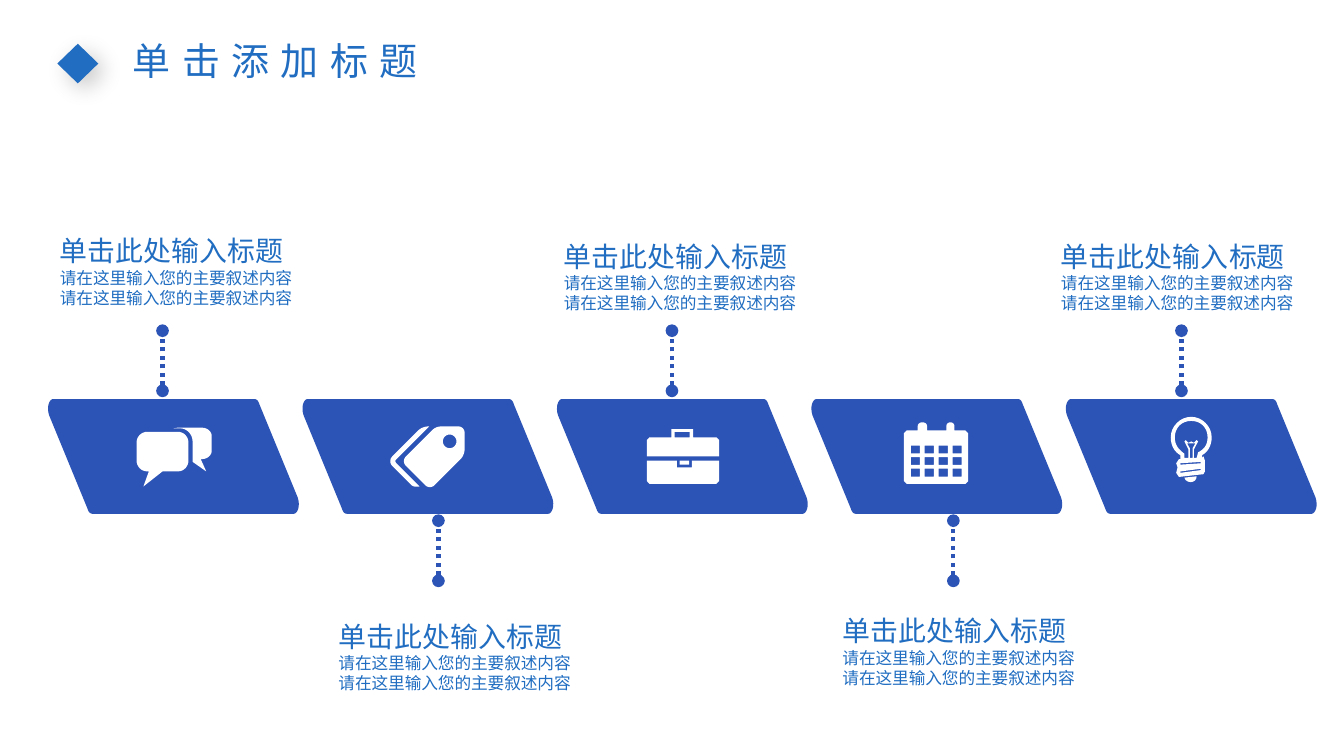
from dataclasses import dataclass
from math import cos, pi, sin

from lxml import etree
from pptx import Presentation
from pptx.dml.color import RGBColor
from pptx.enum.dml import MSO_LINE
from pptx.enum.shapes import MSO_CONNECTOR, MSO_SHAPE
from pptx.enum.text import MSO_ANCHOR, MSO_AUTO_SIZE, PP_ALIGN
from pptx.oxml.ns import qn
from pptx.util import Emu, Inches, Pt

DOTS = MSO_LINE.ROUND_DOT
STRAIGHT = MSO_CONNECTOR.STRAIGHT
DIAMOND = MSO_SHAPE.DIAMOND
TOP, MIDDLE = MSO_ANCHOR.TOP, MSO_ANCHOR.MIDDLE
LEFT, CENTER = PP_ALIGN.LEFT, PP_ALIGN.CENTER
FIXED = MSO_AUTO_SIZE.NONE

# The slide is a grid of 984 columns by 551 rows of square cells
COLS, ROWS = 984, 551
CELL = Inches(0.01)
TILE_X, TILE_Y, PITCH = 34, 292, 186.3
TILE_W, TILE_H = 186, 84

Path = list[tuple[float, ...]]


@dataclass(frozen=True)
class Theme:
    font: str = "Noto Sans CJK SC"
    ink: RGBColor = RGBColor(0x20, 0x6D, 0xC1)
    tile: RGBColor = RGBColor(0x2C, 0x53, 0xB6)
    icon: RGBColor = RGBColor(0xFF, 0xFF, 0xFF)
    title: float = 20
    head: float = 14.7
    body: float = 8.8
    head_line: float = 18.5
    body_line: float = 10.6


@dataclass(frozen=True)
class Step:
    icon: list[Path]
    text_x: float
    text_y: float
    stem_x: float
    stem_y: float


THEME = Theme()


def cells(n: float) -> Emu:
    return Emu(round(n * CELL))


def box(x: float, y: float, w: float, h: float) -> Path:
    return [(x, y), (x + w, y), (x + w, y + h), (x, y + h)]


def disc(x: float, y: float, r: float) -> Path:
    turns = [2 * pi * i / 24 for i in range(24)]
    return [(x + r * cos(a), y + r * sin(a)) for a in turns]


def trace(path: Path) -> Path:
    """Turn corners (x, y) and Bezier curves (six numbers) into points."""
    points: Path = []
    for part in path:
        if len(part) == 2:
            points.append(part)
            continue
        ends = [points[-1], part[:2], part[2:4], part[4:]]
        for i in range(1, 9):
            t = i / 8
            mix = ((1 - t) ** 3, 3 * t * (1 - t) ** 2, 3 * t * t * (1 - t), t ** 3)
            points.append(tuple(sum(m * p[k] for m, p in zip(mix, ends)) for k in (0, 1)))
    return points


def draw(shapes, paths: list[Path], x: float, y: float, color: RGBColor) -> None:
    pen = None
    for path in paths:
        spots = [(cells(x + a), cells(y + b)) for a, b in trace(path)]
        if pen is None:
            pen = shapes.build_freeform(*spots[0], scale=1.0)
        else:
            pen.move_to(*spots[0])
        pen.add_line_segments(spots[1:], close=True)
    shape = pen.convert_to_shape()
    shape.shadow.inherit = False
    shape.fill.solid()
    shape.fill.fore_color.rgb = color
    shape.line.fill.background()


def style(para, size: float, align=LEFT):
    para.alignment = align
    font = para.font
    font.size = Pt(size)
    font.name = THEME.font
    font.color.rgb = THEME.ink
    etree.SubElement(font._element, qn("a:ea"), typeface=THEME.font)
    return font


def label(shapes, x: float, y: float) -> None:
    frame = shapes.add_textbox(*map(cells, (x, y, 194, 104))).text_frame
    frame.word_wrap = True
    frame.vertical_anchor = TOP
    frame.text = "\n".join(["单击此处输入标题"] + ["请在这里输入您的主要叙述内容"] * 2)
    for i, para in enumerate(frame.paragraphs):
        para.line_spacing = Pt(THEME.body_line if i else THEME.head_line)
        style(para, THEME.body if i else THEME.head)


def stem(shapes, x: float, y: float) -> None:
    line = shapes.add_connector(STRAIGHT, *map(cells, (x, y + 44, x, y)))
    line.line.color.rgb = THEME.tile
    line.line.width = Pt(2.25)
    line.line.dash_style = DOTS
    for end in ("a:headEnd", "a:tailEnd"):
        etree.SubElement(line.line._get_or_add_ln(), qn(end), type="oval")
    etree.SubElement(line._element.spPr, qn("a:effectLst"))


def heading(slide) -> None:
    title = slide.shapes.title
    title.left, title.top, title.width, title.height = map(cells, (15, 22, 373, 44))
    frame = title.text_frame
    frame.text = "单击添加标题"
    frame.word_wrap = True
    frame.auto_size = FIXED
    frame.vertical_anchor = MIDDLE
    font = style(frame.paragraphs[0], THEME.title, CENTER)
    font._element.set("spc", "600")

    # Diamond with a soft shadow
    mark = slide.shapes.add_shape(DIAMOND, *map(cells, (42, 32, 30, 29)))
    mark.fill.solid()
    mark.fill.fore_color.rgb = THEME.ink
    mark.line.fill.background()
    mark.shadow.inherit = False
    glow = etree.SubElement(
        mark._element.spPr.find(qn("a:effectLst")), qn("a:outerShdw"),
        blurRad=str(Pt(12)), dist=str(Pt(5)), dir="2700000", algn="ctr", rotWithShape="0")
    shade = etree.SubElement(glow, qn("a:srgbClr"), val="000000")
    etree.SubElement(shade, qn("a:alpha"), val="21000")


# Tile outline: one half, then the same half turned about the centre
HALF: Path = [(30, 80), (2, 12), (0, 6, 2, 0, 5, 0), (152, 0), (154, 0, 155, 1, 156, 4)]
TILE = HALF + [tuple((TILE_H if i % 2 else TILE_W) - n for i, n in enumerate(part))
               for part in HALF]

# Icons, in cells from the corner of their tile
CHAT = [
    [(74, 24), (69, 24, 66, 28, 66, 32), (66, 45), (66, 49, 69, 53, 74, 53), (75, 53),
     (71, 64), (85, 53), (96, 53), (101, 53, 104, 49, 104, 45), (104, 32),
     (104, 28, 101, 24, 96, 24)],
    [(114, 21), (96, 21), (93, 21.5), (98, 21.5), (103, 21.5, 107, 26, 107, 31),
     (107, 46), (117, 53), (113, 44), (114, 44), (118, 44, 121, 41, 121, 38),
     (121, 27), (121, 24, 118, 21, 114, 21)],
]
TAGS = [
    [(115, 20), (104, 20), (100, 20, 98, 21, 96, 23), (77, 42), (75, 44, 75, 47, 77, 49),
     (91, 63), (93, 65, 96, 65, 98, 63), (117, 44), (119, 42, 120, 39, 120, 36),
     (120, 25), (120, 22, 118, 20, 115, 20)],
    disc(109, 31, 5),
    [(70, 47), (87, 64), (84, 64.5, 82, 64, 81, 63), (67, 49), (65, 47, 65, 44, 67, 42),
     (86, 23), (88, 21, 91, 20, 94, 20), (70, 44), (69, 45, 69, 46, 70, 47)],
]
CASE = [
    [(100, 50), (89, 50), (89, 45), (67, 45), (67, 60), (69, 62), (118, 62), (120, 60),
     (120, 45), (100, 45)],
    box(91, 45, 7, 3),
    [(118, 28), (101, 28), (101, 22), (85, 22), (85, 28), (69, 28), (67, 30), (67, 42),
     (120, 42), (120, 30)],
    box(87.5, 24, 11, 4),
]
DATES = [
    [(71, 23), (79, 23), (79, 20), (79, 16, 86, 16, 86, 20), (86, 23), (100, 23),
     (100, 20), (100, 16, 106, 16, 106, 20), (106, 23), (114, 23), (116, 25), (116, 60),
     (114, 62), (71, 62), (69, 60), (69, 25)],
    *[box(74 + 10.2 * c, 34 + 8.5 * r, 6.7, 5.7) for r in range(3) for c in range(4)],
]
BULB = [
    [(93, 13), (101, 13, 108, 20, 108, 28), (108, 34, 105, 39, 101, 41), (101, 43),
     (102, 42), (103, 45), (103, 53), (102, 55), (84, 57), (82, 54), (83, 50), (82, 47),
     (84, 44), (85, 44), (85, 41), (81, 39, 78, 34, 78, 28), (78, 20, 85, 13, 93, 13)],
    [(93, 16), (100, 16, 105, 21, 105, 28), (105, 34, 102, 37, 98, 39), (97, 43), (95, 43),
     (95, 37), (98, 31), (97, 30), (95, 32), (93, 31), (91, 32), (89, 30), (88, 31),
     (91, 37), (91, 43), (88, 43), (88, 40), (84, 37, 81, 34, 81, 28),
     (81, 21, 86, 16, 93, 16)],
    [(90, 32.5), (96, 32.5), (94, 36), (94, 43), (92, 43), (92, 36)],
    [(100, 46), (85, 47), (85, 48), (100, 47)],
    [(100, 51), (85, 53), (85, 54), (100, 52)],
    [(88, 57.5), (89, 62, 97, 62, 97, 56.5)],
]

STEPS = [
    Step(CHAT, 34, 165, 119, 242),
    Step(TAGS, 238, 447, 321, 381),
    Step(CASE, 403, 169, 492, 242),
    Step(DATES, 607, 443, 698, 381),
    Step(BULB, 767, 169, 865, 242),
]


def main() -> None:
    deck = Presentation()
    deck.slide_width, deck.slide_height = cells(COLS), cells(ROWS)
    slide = deck.slides.add_slide(deck.slide_layouts[5])
    heading(slide)
    for i, step in enumerate(STEPS):
        label(slide.shapes, step.text_x, step.text_y)
        group = slide.shapes.add_group_shape().shapes
        x = TILE_X + i * PITCH
        draw(group, [TILE], x, TILE_Y, THEME.tile)
        draw(group, step.icon, x, TILE_Y, THEME.icon)
        stem(slide.shapes, step.stem_x, step.stem_y)
    deck.save("out.pptx")


if __name__ == "__main__":
    main()
